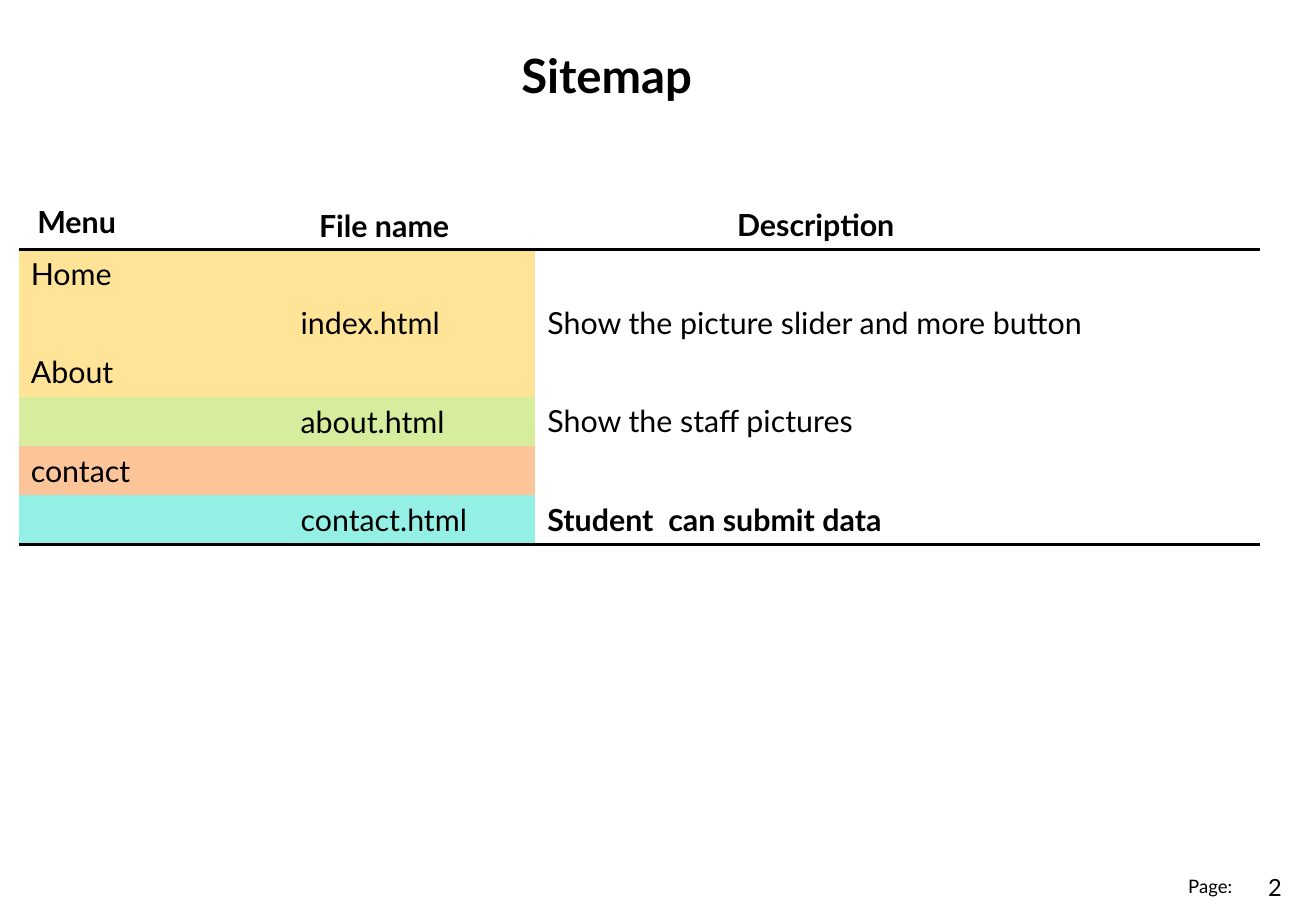
"""Build the sitemap slide: a title, a three-column page table and a page number."""
from dataclasses import dataclass

from lxml.etree import SubElement
from pptx import Presentation
from pptx.dml.color import RGBColor
from pptx.enum.text import MSO_ANCHOR, PP_ALIGN
from pptx.oxml.ns import qn
from pptx.util import Cm, Pt


@dataclass(frozen=True)
class Theme:
    """Colours, font and type sizes."""
    font: str = "Lato"
    ink: str = "000000"
    paper: str = "FFFFFF"
    yellow: str = "FFE497"
    green: str = "D7ED9E"
    orange: str = "FCC599"
    aqua: str = "94F0E4"
    title: int = 28
    body: int = 18
    number: int = 14
    label: int = 11
    rule: int = 2


THEME = Theme()
SLIDE_SIZE = (27.51, 19.05)
NO_GRID_STYLE = "{2D5ABB26-0587-4C30-8999-92F81FD0307C}"

LABELS = [
    ("Page:", (24.59, 18.17, 1.55, 0.74), THEME.label, False),
    ("Sitemap", (10.65, 0.84, 4.14, 1.45), THEME.title, True),
    ("Menu", (0.53, 4.13, 2.36, 1.02), THEME.body, True),
    ("File name", (6.42, 4.21, 3.4, 1.02), THEME.body, True),
    ("Description", (15.16, 4.19, 4.88, 1.02), THEME.body, True),
]
PAGE_NUMBER = ("2", (25.98, 18.11, 1.35, 0.86), THEME.number, False)

PAGES = [
    ("Home", "", "", THEME.yellow),
    ("", "index.html", "Show the picture slider and more button", THEME.yellow),
    ("About", "", "", THEME.yellow),
    ("", "about.html", "Show the staff pictures", THEME.green),
    ("contact", "", "", THEME.orange),
    ("", "contact.html", "Student  can submit data", THEME.aqua),
]
BOLD_TEXTS = {"Student  can submit data"}
TABLE_LEFT, TABLE_TOP = 0.39, 5.21
COLUMN_WIDTHS = (5.64, 5.16, 15.15)
ROW_HEIGHT = 1.03
FILE_COLUMN, DESCRIPTION_COLUMN = 1, 2


def add_run(paragraph, text, size, bold=False):
    run = paragraph.add_run()
    run.text = text
    run.font.name = THEME.font
    run.font.size = Pt(size)
    run.font.bold = bold
    run.font.color.rgb = RGBColor.from_string(THEME.ink)


def add_label(slide, text, box, size, bold):
    frame = slide.shapes.add_textbox(*map(Cm, box)).text_frame
    frame.word_wrap = True
    add_run(frame.paragraphs[0], text, size, bold)
    return frame


def add_rule(cell, side):
    properties = cell._tc.get_or_add_tcPr()
    line = SubElement(properties, qn(f"a:{side}"), w=str(Pt(THEME.rule)))
    fill = SubElement(line, qn("a:solidFill"))
    SubElement(fill, qn("a:srgbClr"), val=THEME.ink)
    properties.insert(0, line)


def add_page_table(slide):
    frame = slide.shapes.add_table(
        len(PAGES), len(COLUMN_WIDTHS), Cm(TABLE_LEFT), Cm(TABLE_TOP),
        Cm(sum(COLUMN_WIDTHS)), Cm(ROW_HEIGHT * len(PAGES)))
    table = frame.table
    table.first_row = table.horz_banding = False
    table._tbl.tblPr.find(qn("a:tableStyleId")).text = NO_GRID_STYLE
    for column, width in zip(table.columns, COLUMN_WIDTHS):
        column.width = Cm(width)
    for row_index, (*texts, colour) in enumerate(PAGES):
        table.rows[row_index].height = Cm(ROW_HEIGHT)
        for column_index, text in enumerate(texts):
            cell = table.cell(row_index, column_index)
            cell.fill.solid()
            cell.fill.fore_color.rgb = RGBColor.from_string(
                THEME.paper if column_index == DESCRIPTION_COLUMN else colour)
            if column_index == FILE_COLUMN:
                cell.vertical_anchor = MSO_ANCHOR.MIDDLE
            if text:
                add_run(cell.text_frame.paragraphs[0], text, THEME.body, text in BOLD_TEXTS)
            if row_index == 0:
                add_rule(cell, "lnT")
            if row_index == len(PAGES) - 1:
                add_rule(cell, "lnB")


def main():
    presentation = Presentation()
    presentation.slide_width, presentation.slide_height = map(Cm, SLIDE_SIZE)
    slide = presentation.slides.add_slide(presentation.slide_layouts[6])
    add_page_table(slide)
    for label in LABELS:
        add_label(slide, *label)
    number = add_label(slide, *PAGE_NUMBER)
    number.vertical_anchor = MSO_ANCHOR.MIDDLE
    number.paragraphs[0].alignment = PP_ALIGN.CENTER
    presentation.save("out.pptx")


if __name__ == "__main__":
    main()
